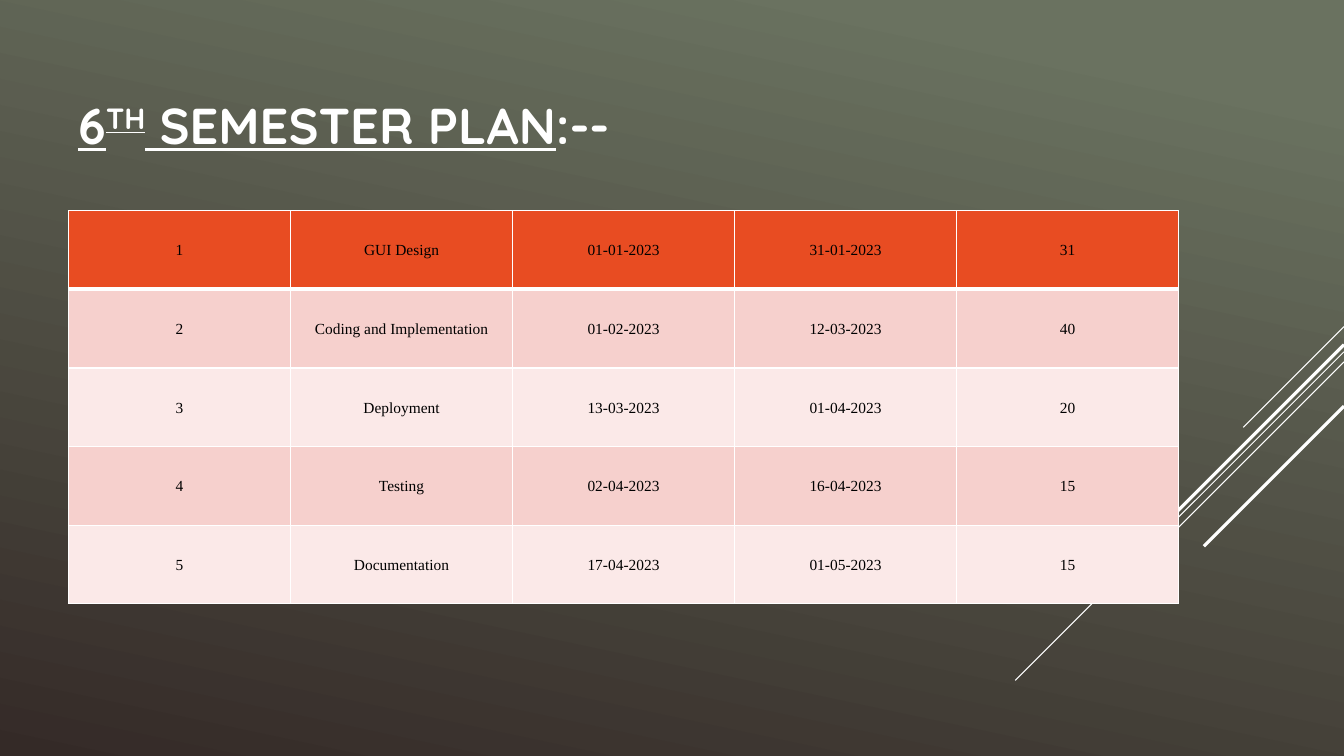
from lxml import etree
from pptx import Presentation
from pptx.dml.color import RGBColor
from pptx.enum.shapes import MSO_CONNECTOR
from pptx.enum.text import MSO_ANCHOR, PP_ALIGN
from pptx.oxml.ns import qn
from pptx.util import Inches, Pt

STRAIGHT = MSO_CONNECTOR.STRAIGHT
MIDDLE = MSO_ANCHOR.MIDDLE
CENTER = PP_ALIGN.CENTER

WHITE, BLACK = "FFFFFF", "000000"
HEADER_FILL = "E84C22"
BAND_FILLS = ("F6D0CD", "FBE9E8")

PLAN = [
    ("1", "GUI Design", "01-01-2023", "31-01-2023", "31"),
    ("2", "Coding and Implementation", "01-02-2023", "12-03-2023", "40"),
    ("3", "Deployment", "13-03-2023", "01-04-2023", "20"),
    ("4", "Testing", "02-04-2023", "16-04-2023", "15"),
    ("5", "Documentation", "17-04-2023", "01-05-2023", "15"),
]

DIAGONALS = [
    (3.24, 1.0, 0.75),
    (3.49, 3.26, 0.75),
    (3.59, 2.07, 0.75),
    (3.42, 1.91, 2.25),
    (4.03, 1.39, 2.25),
]


def color(hex_text):
    return RGBColor.from_string(hex_text)


def add_span(para, text, font, size, hue, bold=False, underline=False, baseline=0):
    span = para.add_run()
    span.text = text
    span.font.name = font
    span.font.size = Pt(size)
    span.font.color.rgb = color(hue)
    span.font.bold = bold
    span.font.underline = underline
    if baseline:
        span._r.get_or_add_rPr().set("baseline", str(baseline * 1000))


class PlanPage:
    """Draws the semester plan's elements on one page in a shared style."""

    title_font = "Quicksand"
    table_font = "Times New Roman"

    def __init__(self, deck):
        self.width = 13.33
        deck.slide_width = Inches(self.width)
        deck.slide_height = Inches(7.5)
        self.page = deck.slides.add_slide(deck.slide_layouts[6])

    def background(self, stops, angle):
        fill = self.page.background.fill
        fill.gradient()
        fill.gradient_angle = 360 - angle
        for stop, (position, hue) in zip(fill.gradient_stops, stops):
            stop.position = position
            stop.color.rgb = color(hue)

    def diagonal(self, top, reach, weight):
        line = self.page.shapes.add_connector(
            STRAIGHT, Inches(self.width), Inches(top),
            Inches(self.width - reach), Inches(top + reach))
        line.line.color.rgb = color(WHITE)
        line.line.width = Pt(weight)
        etree.SubElement(line._element.spPr, qn("a:effectLst"))

    def title(self, left, top, width, height, spans):
        box = self.page.shapes.add_textbox(
            Inches(left), Inches(top), Inches(width), Inches(height))
        frame = box.text_frame
        frame.word_wrap = True
        frame.vertical_anchor = MIDDLE
        for text, style in spans:
            add_span(frame.paragraphs[0], text, self.title_font, 36, WHITE,
                     bold=True, **style)

    def borders(self, cell, top, bottom):
        properties = cell._tc.get_or_add_tcPr()
        for side, weight in (("L", 1), ("R", 1), ("T", top), ("B", bottom)):
            edge = etree.SubElement(properties, qn(f"a:ln{side}"), w=str(Pt(weight)))
            fill = etree.SubElement(edge, qn("a:solidFill"))
            etree.SubElement(fill, qn("a:srgbClr"), val=WHITE)

    def cell(self, cell, text, row):
        cell.margin_left = cell.margin_right = Inches(0.07)
        cell.margin_top = cell.margin_bottom = 0
        cell.vertical_anchor = MIDDLE
        self.borders(cell, 3 if row == 1 else 1, 3 if row == 0 else 1)
        cell.fill.solid()
        cell.fill.fore_color.rgb = color(
            BAND_FILLS[(row - 1) % 2] if row else HEADER_FILL)
        para = cell.text_frame.paragraphs[0]
        para.alignment = CENTER
        para.line_spacing = 1.07
        para.space_after = Pt(8)
        add_span(para, text, self.table_font, 11, BLACK)

    def table(self, left, top, width, height, rows):
        table = self.page.shapes.add_table(
            len(rows), len(rows[0]), Inches(left), Inches(top),
            Inches(width), Inches(height)).table
        for row, texts in enumerate(rows):
            for column, text in enumerate(texts):
                self.cell(table.cell(row, column), text, row)


def main():
    deck = Presentation()
    plan = PlanPage(deck)
    plan.background([(0.1, "6A7260"), (1, "342A27")], 102)
    for top, reach, weight in DIAGONALS:
        plan.diagonal(top, reach, weight)
    plan.title(0.68, 0.51, 9.7, 1.45, [
        ("6", {"underline": True}),
        ("TH", {"underline": True, "baseline": 30}),
        (" SEMESTER PLAN", {"underline": True}),
        (":--", {}),
    ])
    plan.table(0.68, 2.09, 11.01, 3.9, PLAN)
    deck.save("out.pptx")


if __name__ == "__main__":
    main()
